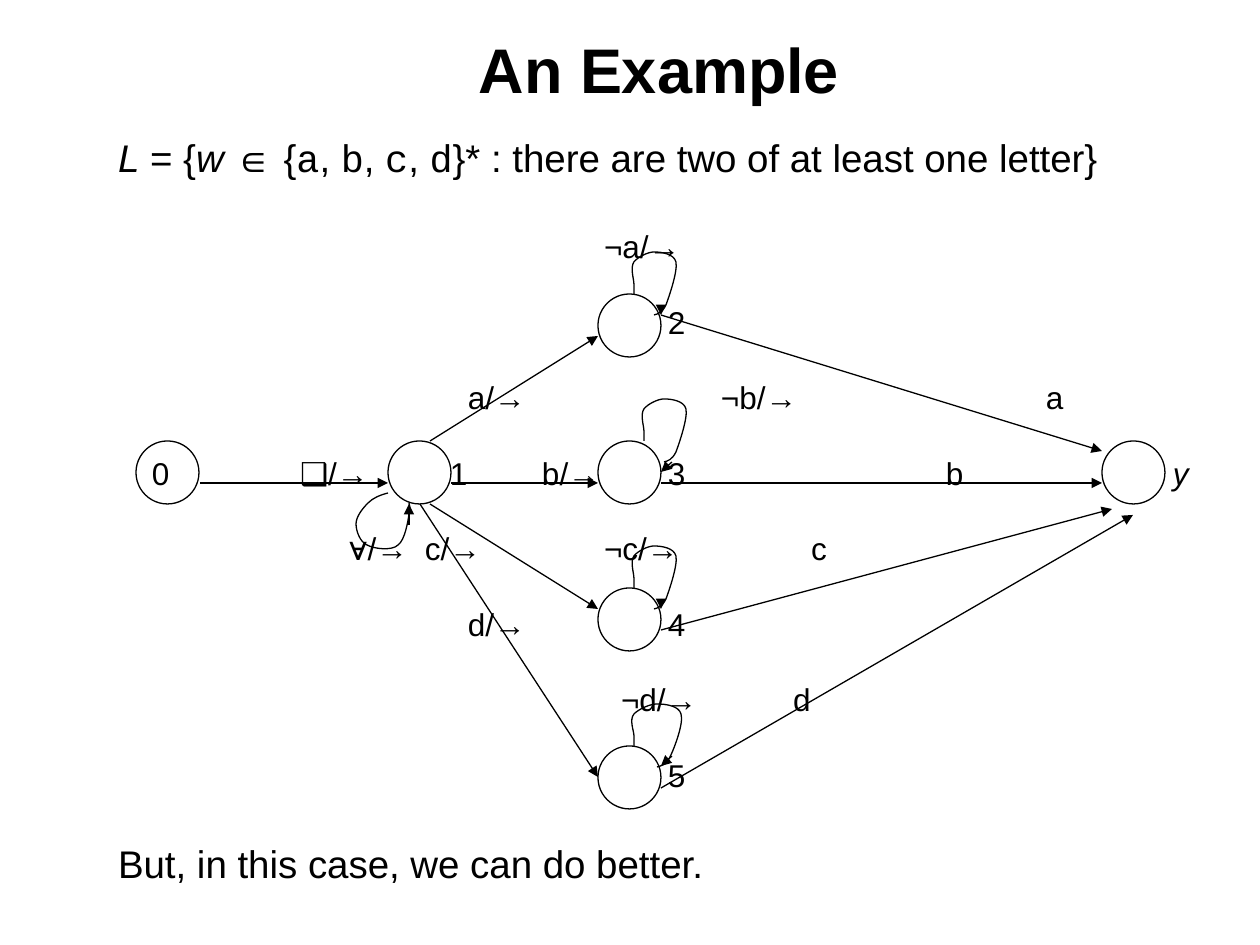
from lxml import etree
from pptx import Presentation
from pptx.dml.color import RGBColor
from pptx.enum.shapes import MSO_CONNECTOR as LINK, MSO_SHAPE as SHAPE
from pptx.enum.text import MSO_ANCHOR as ANCHOR, PP_ALIGN as ALIGN
from pptx.oxml.ns import qn
from pptx.util import Pt

PX = 914400 / 126
COLORS = {"ink": "000000"}
SANS, MONO = "Arial", "Courier New"
SIZE = 63  # diameter of a state

TITLE = "An Example"
# text, font, italic
RULE = [("L", SANS, True), (" = {", SANS, False), ("w ", SANS, True),
        ("∈ {", SANS, False), ("a", MONO, False), (", ", SANS, False),
        ("b", MONO, False), (", ", SANS, False), ("c", MONO, False),
        (", ", SANS, False), ("d", MONO, False),
        ("}* : there are two of at least one letter}", SANS, False)]
CLOSE = [("But, in this case, we can do better.", SANS, False)]

# One list of (left, text) for each row of labels
ROWS = [
    [(604, "¬a/→")],
    [(668, "2")],
    [(468, "a/→"), (721, "¬b/→"), (1046, "a")],
    [(152, "0"), (300, "❑/→"), (450, "1"), (542, "b/→"), (668, "3"),
     (946, "b"), (1173, "y")],
    [(349, "∀/→"), (425, "c/→"), (604, "¬c/→"), (811, "c")],
    [(468, "d/→"), (668, "4")],
    [(621, "¬d/→"), (793, "d")],
    [(668, "5")],
]
ROW_TOP, PITCH = 246, 75.5

STATES = [(136, 441), (388, 441), (598, 294), (598, 441), (598, 588),
          (598, 746), (1102, 441)]
ARROWS = [
    (200, 483, 388, 483), (451, 483, 598, 483), (661, 483, 1102, 483),
    (661, 630, 1112, 509), (661, 788, 1133, 515), (661, 315, 1102, 451),
    (430, 441, 598, 336), (430, 504, 598, 609), (420, 504, 598, 777),
    (661, 305, 661, 315), (672, 462, 661, 472), (661, 599, 661, 609),
    (672, 756, 661, 766), (409, 525, 409, 504),
]
# Bezier points, relative to the start of a loop
LOOP = [(0, 0), (0, -3), (0, -5), (0, -10), (0, -15), (-4, -26), (0, -32),
        (4, -37), (14, -42), (20, -42), (28, -42), (40, -40), (42, -32),
        (44, -23), (35, 3), (32, 11), (28, 19), (24, 20), (20, 21)]
LOW_LOOP = [(0, 0), (-8, 2), (-15, 5), (-20, 10), (-26, 16), (-32, 24),
            (-32, 31), (-32, 38), (-28, 49), (-21, 52), (-14, 56), (4, 58),
            (10, 52), (17, 47), (20, 28), (21, 21), (22, 14), (22, 12),
            (21, 10)]
# left, top, stretch, points
LOOPS = [(634, 294, 1, LOOP), (644, 441, 1, LOOP), (634, 588, 1, LOOP),
         (634, 746, 1.13, LOOP), (388, 493, 1, LOW_LOOP)]


def emu(*vals):
    return [round(v * PX) for v in vals]


def style(font, size, name=SANS):
    font.size, font.name = Pt(size), name
    font.color.rgb = RGBColor.from_string(COLORS["ink"])


def frame(box):
    text = box.text_frame
    text.margin_left = text.margin_right = 0
    text.margin_top = text.margin_bottom = 0
    text.vertical_anchor = ANCHOR.MIDDLE
    return text


def ink(line):
    line.color.rgb = RGBColor.from_string(COLORS["ink"])
    line.width = Pt(0.75)


def sentence(shapes, mid, runs):
    text = frame(shapes.add_textbox(*emu(118, mid - 24, 1130, 48)))
    text.word_wrap = True
    for word, name, slant in runs:
        run = text.paragraphs[0].add_run()
        run.text = word
        style(run.font, 22, name)
        run.font.italic = slant


def label(shapes, left, mid, word):
    text = frame(shapes.add_textbox(*emu(left, mid - 18, 80, 36)))
    text.word_wrap = False
    para = text.paragraphs[0]
    para.text = word
    style(para.font, 18)
    para.font.italic = word == "y"


def arrow(shapes, ends):
    link = shapes.add_connector(LINK.STRAIGHT, *emu(*ends))
    ink(link.line)
    props = link.line._get_or_add_ln()
    etree.SubElement(props, qn("a:tailEnd"), type="triangle")
    etree.SubElement(link._element.spPr, qn("a:effectLst"))


def loop(shapes, left, top, wide, points):
    """Draw an open outline, turning each three line steps into one curve."""
    spots = [(left + x * wide, top + y) for x, y in points]
    pen = shapes.build_freeform(*spots[0], scale=PX)
    pen.add_line_segments(spots[1:], close=False)
    shape = pen.convert_to_shape()
    steps = list(shape._element.iter(qn("a:lnTo")))
    for i in range(0, len(steps), 3):
        curve = etree.Element(qn("a:cubicBezTo"))
        steps[i].addprevious(curve)
        for step in steps[i:i + 3]:
            curve.append(step[0])
            step.getparent().remove(step)
    outline(shape)


def outline(shape):
    shape.shadow.inherit = False
    shape.fill.background()
    ink(shape.line)


def main():
    deck = Presentation()
    deck.slide_width, deck.slide_height = emu(1260, 945)
    slide = deck.slides.add_slide(deck.slide_layouts[5])
    shapes = slide.shapes

    title = shapes.title
    title.left, title.top, title.width, title.height = emu(94, 10, 1130, 116)
    para = frame(title).paragraphs[0]
    para.text, para.alignment = TITLE, ALIGN.CENTER
    style(para.font, 36)
    para.font.bold = True

    sentence(shapes, 157, RULE)
    sentence(shapes, 863, CLOSE)
    for i, row in enumerate(ROWS):
        for left, word in row:
            label(shapes, left, ROW_TOP + i * PITCH, word)
    for left, top in STATES:
        outline(shapes.add_shape(SHAPE.OVAL, *emu(left, top, SIZE, SIZE)))
    for ends in ARROWS:
        arrow(shapes, ends)
    for spec in LOOPS:
        loop(shapes, *spec)
    deck.save("out.pptx")


if __name__ == "__main__":
    main()
